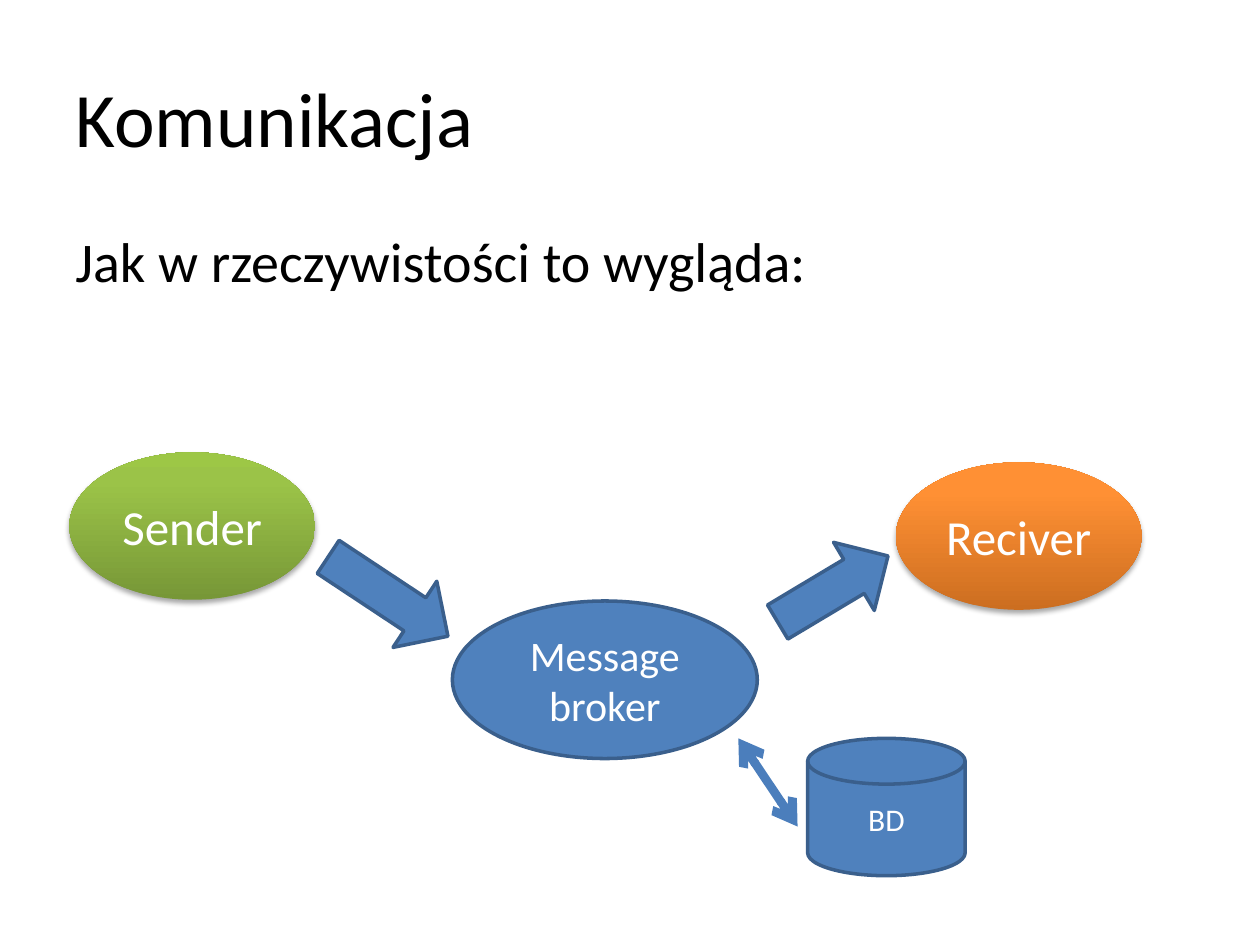
"""Build the slide on communication through a message broker."""
import copy
from dataclasses import dataclass

import pptx
import pptx.dml.color
import pptx.enum.shapes
import pptx.enum.text
import pptx.oxml.ns
import pptx.util
from lxml import etree

Inches, Pt = pptx.util.Inches, pptx.util.Pt
RGB = pptx.dml.color.RGBColor.from_string
KIND = pptx.enum.shapes.MSO_SHAPE
ALIGN = pptx.enum.text.PP_ALIGN
ANCHOR = pptx.enum.text.MSO_ANCHOR
qn = pptx.oxml.ns.qn


@dataclass(frozen=True)
class Theme:
    """Colours, font and type sizes of the slide."""
    font: str = "Calibri"
    ink: str = "000000"
    paper: str = "FFFFFF"
    blue: str = "4F81BD"
    outline: str = "3A5F8C"
    link: str = "4B7EBC"
    green: tuple = ((0, "779737"), (0.8, "9BC348"), (1, "9DC746"))
    orange: tuple = ((0, "CC6E20"), (0.8, "FF9034"), (1, "FF9136"))
    title: int = 44
    body: int = 32
    endpoint: int = 28
    broker: int = 24
    store: int = 18


THEME = Theme()
WIDTH, HEIGHT = 10, 7.5
MARGIN = WIDTH / 20
TITLE = "Komunikacja"
LEAD = "Jak w rzeczywistości to wygląda:"
ENDPOINT = (1.95, 1.17)
ENDPOINTS = [
    ("Sender", (0.55, 3.59), THEME.green),
    ("Reciver", (7.11, 3.67), THEME.orange),
]
ARROWS = [((2.51, 4.42, 1.14, 0.63), 33.5), ((6.1, 4.36, 1.02, 0.63), 329.1)]
NODES = [
    ("Message broker", KIND.OVAL, (3.59, 4.77, 2.42, 1.25), THEME.broker),
    ("BD", KIND.FLOWCHART_MAGNETIC_DISK, (6.41, 5.86, 1.25, 1.09), THEME.store),
]
STORE_LINK = (5.86, 5.86, 6.33, 6.56)


def write(shape, text, size, color, align, anchor):
    """Set one styled paragraph in a shape."""
    frame = shape.text_frame
    frame.text = text
    frame.word_wrap = True
    frame.vertical_anchor = anchor
    paragraph = frame.paragraphs[0]
    paragraph.alignment = align
    font = paragraph.runs[0].font
    font.name, font.size = THEME.font, Pt(size)
    font.color.rgb = RGB(color)


def add_node(slide, kind, box):
    """Add a flat blue shape with an outline."""
    node = slide.shapes.add_shape(kind, *map(Inches, box))
    node.shadow.inherit = False
    node.fill.solid()
    node.fill.fore_color.rgb = RGB(THEME.blue)
    node.line.color.rgb = RGB(THEME.outline)
    node.line.width = Pt(2)
    return node


def shade(node, stops):
    """Give a node an upward gradient and a soft shadow in place of its outline."""
    node.line.fill.background()
    node.fill.gradient()
    node.fill.gradient_angle = 90
    stop_list = node._element.spPr.find(".//" + qn("a:gsLst"))
    stop_list.append(copy.deepcopy(stop_list[-1]))
    for stop, (position, color) in zip(node.fill.gradient_stops, stops):
        stop.position = position
        stop.color.rgb = RGB(color)
    effects = node._element.spPr.find(qn("a:effectLst"))
    shadow = etree.SubElement(
        effects, qn("a:outerShdw"), blurRad=str(Pt(3.1)), dist=str(Pt(1.8)),
        dir="5400000", rotWithShape="0")
    tint = etree.SubElement(shadow, qn("a:srgbClr"), val=THEME.ink)
    etree.SubElement(tint, qn("a:alpha"), val="35000")


def add_link(slide, ends):
    """Add a line with an open arrowhead at both ends."""
    link = slide.shapes.add_connector(
        pptx.enum.shapes.MSO_CONNECTOR.STRAIGHT, *map(Inches, ends))
    link.line.color.rgb = RGB(THEME.link)
    link.line.width = Pt(5)
    outline = link.line._get_or_add_ln()
    for end in ("a:headEnd", "a:tailEnd"):
        etree.SubElement(outline, qn(end), type="arrow")
    etree.SubElement(link._element.spPr, qn("a:effectLst"))


def main():
    deck = pptx.Presentation()
    deck.slide_width, deck.slide_height = Inches(WIDTH), Inches(HEIGHT)
    slide = deck.slides.add_slide(deck.slide_layouts.get_by_name("Title Only"))
    slide.background.fill.solid()
    slide.background.fill.fore_color.rgb = RGB(THEME.paper)

    text_width = WIDTH - 2 * MARGIN
    title = slide.shapes.title
    title.left, title.top, title.width, title.height = map(
        Inches, (MARGIN, 0.3, text_width, HEIGHT / 6))
    write(title, TITLE, THEME.title, THEME.ink, ALIGN.LEFT, ANCHOR.MIDDLE)
    lead = slide.shapes.add_textbox(
        *map(Inches, (MARGIN, 1.75, text_width, 4.95)))
    write(lead, LEAD, THEME.body, THEME.ink, ALIGN.LEFT, ANCHOR.TOP)

    for label, corner, stops in ENDPOINTS:
        endpoint = add_node(slide, KIND.OVAL, corner + ENDPOINT)
        shade(endpoint, stops)
        write(endpoint, label, THEME.endpoint, THEME.paper, ALIGN.CENTER, ANCHOR.MIDDLE)
    for box, angle in ARROWS:
        add_node(slide, KIND.RIGHT_ARROW, box).rotation = angle
    for label, kind, box, size in NODES:
        node = add_node(slide, kind, box)
        write(node, label, size, THEME.paper, ALIGN.CENTER, ANCHOR.MIDDLE)
    add_link(slide, STORE_LINK)
    deck.save("out.pptx")


if __name__ == "__main__":
    main()
